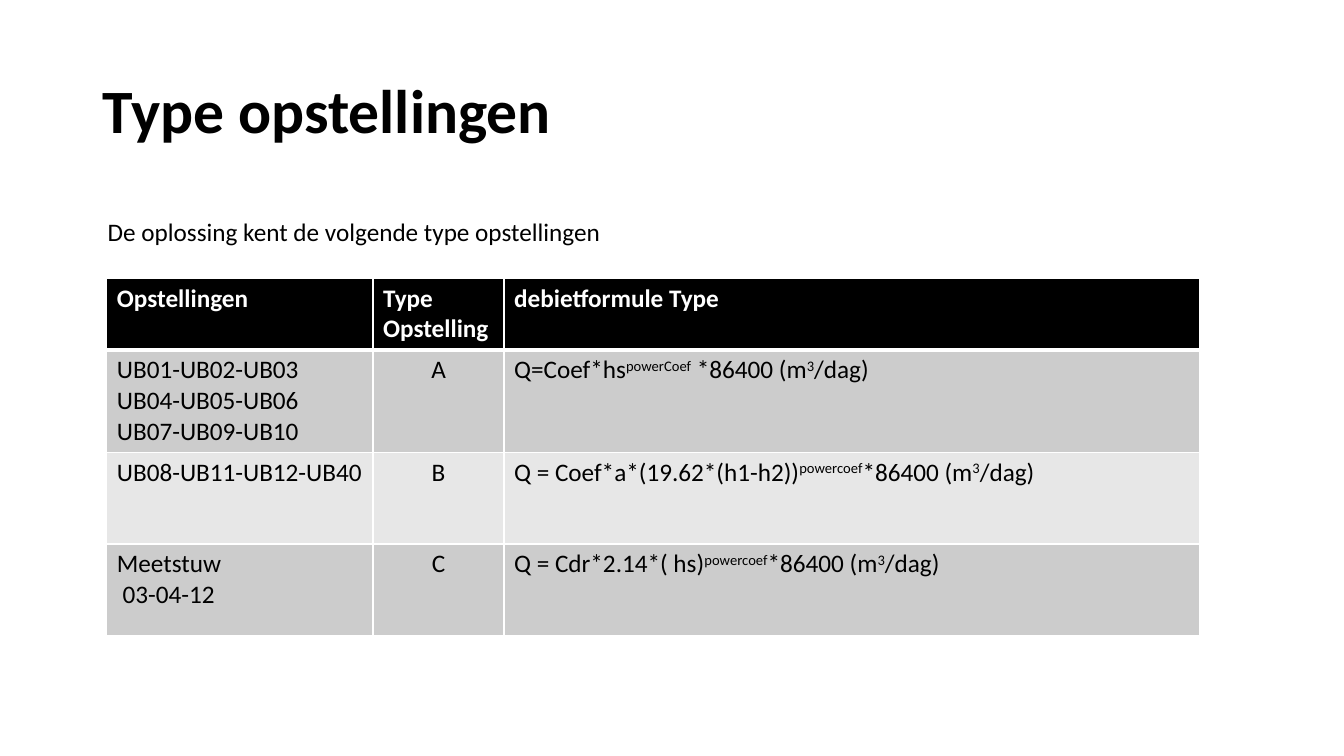
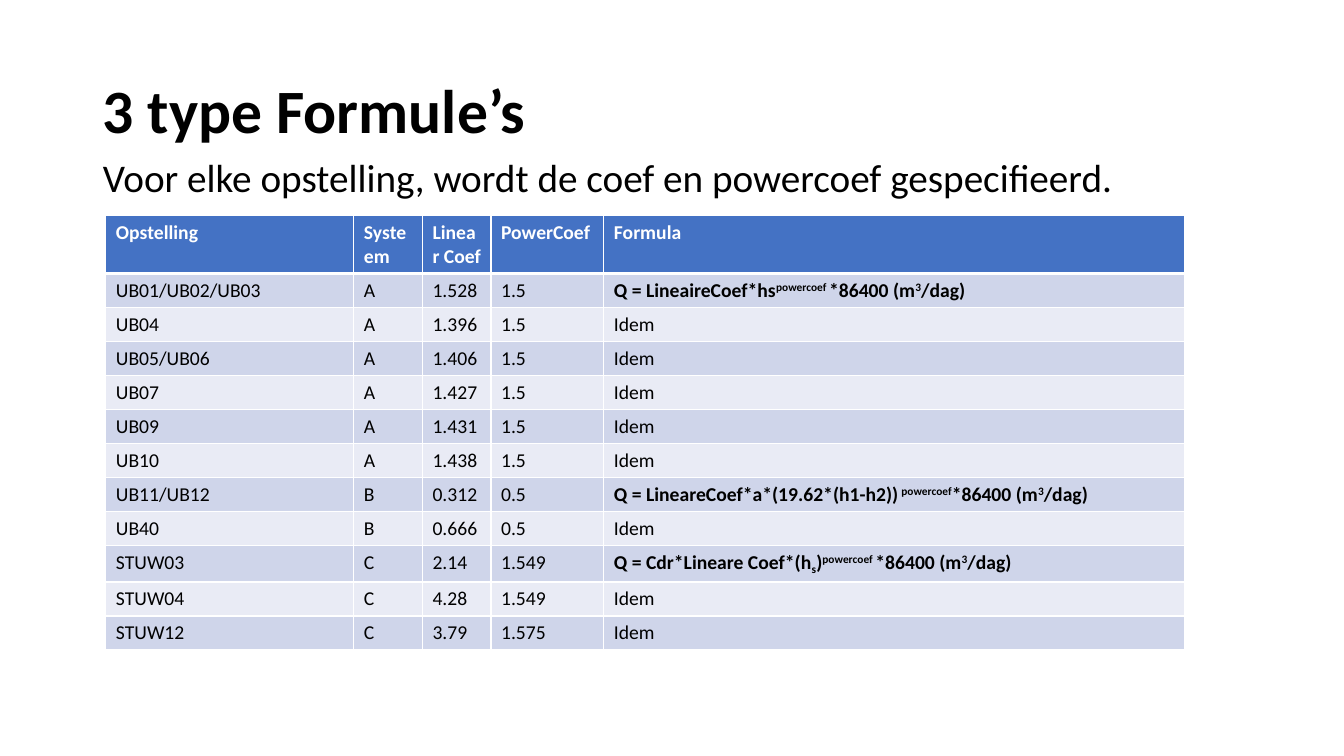
from lxml import etree
from pptx import Presentation
from pptx import util as u
from pptx.dml.color import RGBColor
from pptx.enum import text
from pptx.oxml.ns import qn

# In the texts, ^...^ is superscript, ~...~ is subscript, and a line break starts a paragraph.
SETUPS = [
    ("Opstellingen", "Type\nOpstelling", "debietformule Type"),
    ("UB01-UB02-UB03\nUB04-UB05-UB06\nUB07-UB09-UB10", "A",
     "Q=Coef*hs^powerCoef^ *86400 (m^3^/dag)"),
    ("UB08-UB11-UB12-UB40", "B",
     "Q = Coef*a*(19.62*(h1-h2))^powercoef^*86400 (m^3^/dag)"),
    ("Meetstuw\n 03-04-12", "C", "Q = Cdr*2.14*( hs)^powercoef^*86400 (m^3^/dag)"),
]
FORMULAS = [
    ("Opstelling", "Systeem", "Linear Coef", "PowerCoef", "Formula"),
    ("UB01/UB02/UB03", "A", "1.528", "1.5",
     "Q = LineaireCoef*hs^powercoef ^*86400 (m^3^/dag)"),
    ("UB04", "A", "1.396", "1.5", "Idem"),
    ("UB05/UB06", "A", "1.406", "1.5", "Idem"),
    ("UB07", "A", "1.427", "1.5", "Idem"),
    ("UB09", "A", "1.431", "1.5", "Idem"),
    ("UB10", "A", "1.438", "1.5", "Idem"),
    ("UB11/UB12", "B", "0.312", "0.5",
     "Q = LineareCoef*a*(19.62*(h1-h2))^ powercoef^*86400 (m^3^/dag)"),
    ("UB40", "B", "0.666", "0.5", "Idem"),
    ("STUW03", "C", "2.14", "1.549",
     "Q = Cdr*Lineare Coef*(h~s~)^powercoef ^*86400 (m^3^/dag)"),
    ("STUW04", "C", "4.28", "1.549", "Idem"),
    ("STUW12", "C", "3.79", "1.575", "Idem"),
]

COLORS = {"text": "000000", "paper": "FFFFFF"}
GREY = {"header": "000000", "bands": ("CCCCCC", "E7E7E7")}
BLUE = {"header": "4472C4", "bands": ("CFD5EA", "E9EBF5")}
FONT = "Calibri"
TITLE_BOX = (0.92, 0.4, 11.5, 1.45)
TITLE_AND_BODY, TITLE_ONLY = 1, 5
SUPERSCRIPT, SUBSCRIPT = "30000", "-25000"


def place(shape, box):
    shape.left, shape.top, shape.width, shape.height = map(u.Inches, box)


def split_runs(line):
    """Yield (text, baseline) pairs; the baseline is None for plain text."""
    for i, part in enumerate(line.split("^")):
        for j, piece in enumerate(part.split("~")):
            if piece:
                yield piece, SUPERSCRIPT if i % 2 else SUBSCRIPT if j % 2 else None


def write(frame, content, size=18, color=COLORS["text"], bold=False,
          align=text.PP_ALIGN.LEFT, spacing=1.0):
    for i, line in enumerate(content.split("\n")):
        paragraph = frame.add_paragraph() if i else frame.paragraphs[0]
        paragraph.alignment = align
        paragraph.line_spacing = spacing
        paragraph.space_before = u.Pt(0)
        for piece, baseline in split_runs(line):
            run = paragraph.add_run()
            run.text = piece
            run.font.name, run.font.size, run.font.bold = FONT, u.Pt(size), bold
            run.font.color.rgb = RGBColor.from_string(color)
            if baseline:
                run.font._element.set("baseline", baseline)


def add_titled_slide(deck, layout, heading):
    slide = deck.slides.add_slide(deck.slide_layouts[layout])
    place(slide.shapes.title, TITLE_BOX)
    frame = slide.shapes.title.text_frame
    frame.vertical_anchor = text.MSO_ANCHOR.MIDDLE
    write(frame, heading, size=44, bold=True, spacing=0.9)
    return slide


def set_borders(cell, top, bottom):
    properties = cell._tc.get_or_add_tcPr()
    for side, points in (("L", 1), ("R", 1), ("T", top), ("B", bottom)):
        line = etree.SubElement(properties, qn(f"a:ln{side}"), w=str(u.Pt(points)))
        fill = etree.SubElement(line, qn("a:solidFill"))
        etree.SubElement(fill, qn("a:srgbClr"), val=COLORS["paper"])


def add_grid(slide, rows, corner, widths, heights, palette, size,
             centered=(), bold_formulas=False):
    box = (*corner, sum(widths), sum(heights))
    table = slide.shapes.add_table(len(rows), len(widths), *map(u.Inches, box)).table
    table.horz_banding = False
    for column, width in zip(table.columns, widths):
        column.width = u.Inches(width)
    for r, (row, height) in enumerate(zip(rows, heights)):
        table.rows[r].height = u.Inches(height)
        header = r == 0
        fill = palette["header"] if header else palette["bands"][(r - 1) % 2]
        for c, content in enumerate(row):
            cell = table.cell(r, c)
            set_borders(cell, top=3 if r == 1 else 1, bottom=3 if header else 1)
            cell.fill.solid()
            cell.fill.fore_color.rgb = RGBColor.from_string(fill)
            middle = c in centered and not header
            write(cell.text_frame, content, size=size,
                  color=COLORS["paper" if header else "text"],
                  bold=header or (bold_formulas and "^" in content),
                  align=text.PP_ALIGN.CENTER if middle else text.PP_ALIGN.LEFT)


def build_setups(deck):
    slide = add_titled_slide(deck, TITLE_ONLY, "Type opstellingen")
    add_grid(slide, SETUPS, (1.06, 2.76), (2.64, 1.3, 6.9), (0.7, 1.01, 0.91, 0.91),
             GREY, size=18, centered=(1,))
    intro = slide.shapes.add_textbox(*map(u.Inches, (0.97, 2.1, 9.04, 0.4))).text_frame
    intro.word_wrap = True
    intro.auto_size = text.MSO_AUTO_SIZE.SHAPE_TO_FIT_TEXT
    write(intro, "De oplossing kent de volgende type opstellingen")


def build_formulas(deck):
    slide = add_titled_slide(deck, TITLE_AND_BODY, "3 type Formule’s")
    body = slide.placeholders[1]
    place(body, (0.92, 1.52, 11.5, 5.23))
    properties = body.text_frame.paragraphs[0]._p.get_or_add_pPr()
    properties.set("marL", "0")
    properties.set("indent", "0")
    etree.SubElement(properties, qn("a:buNone"))
    write(body.text_frame, "Voor elke opstelling, wordt de coef en powercoef gespecifieerd.",
          size=28, spacing=0.9)
    heights = [0.56] + [0.33] * (len(FORMULAS) - 1)
    add_grid(slide, FORMULAS, (1.05, 2.14), (2.46, 0.68, 0.68, 1.12, 5.76), heights,
             BLUE, size=14, bold_formulas=True)


def main():
    deck = Presentation()
    deck.slide_width, deck.slide_height = u.Inches(13.33), u.Inches(7.5)
    build_setups(deck)
    build_formulas(deck)
    deck.save("out.pptx")


if __name__ == "__main__":
    main()
